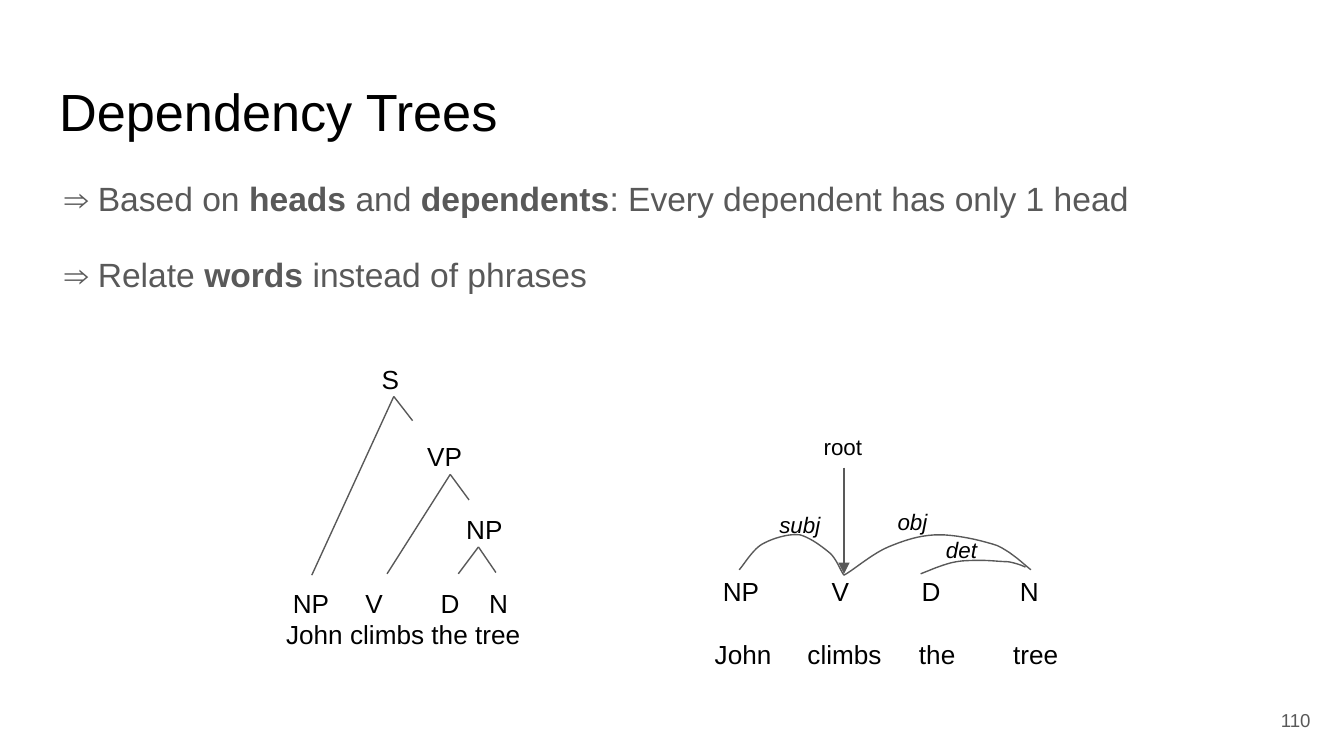
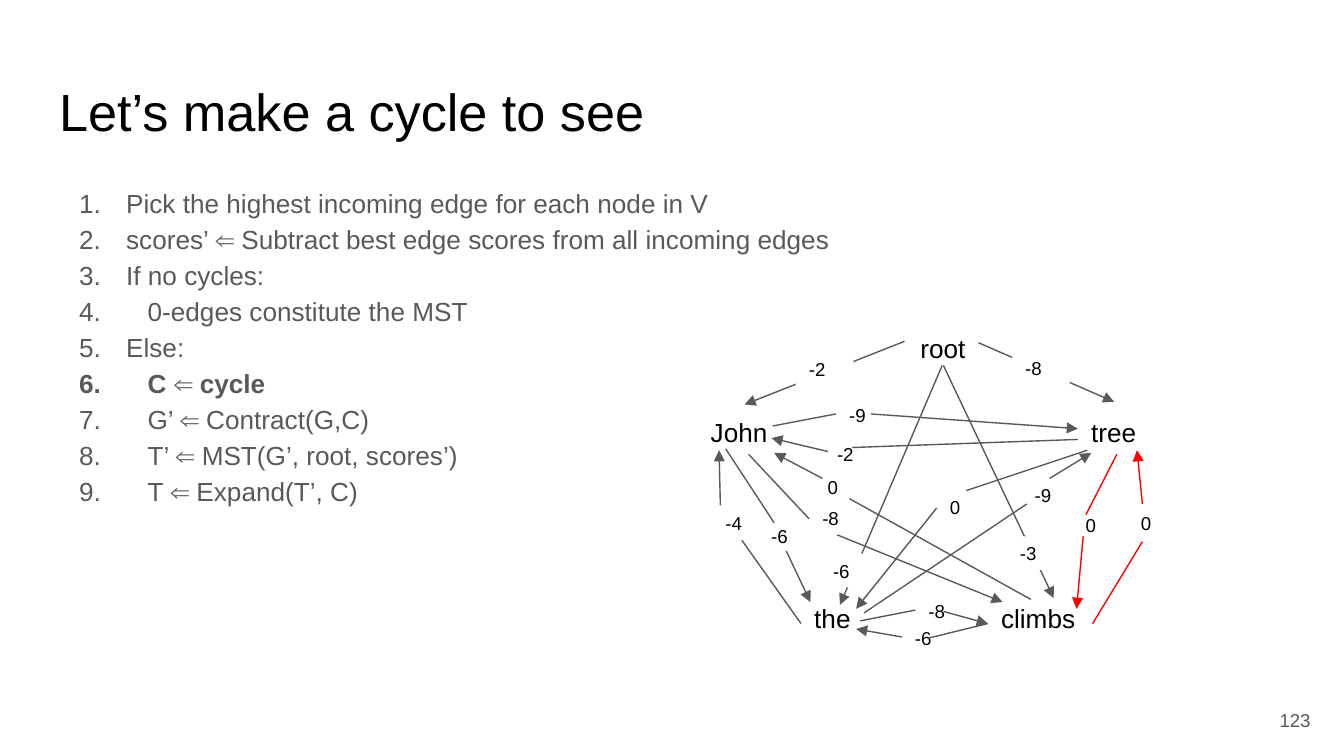
from dataclasses import dataclass

from lxml.etree import SubElement
from pptx import Presentation
from pptx.dml.color import RGBColor as RGB
from pptx.enum.shapes import MSO_CONNECTOR as Connector, MSO_SHAPE as Shape
from pptx.enum.text import MSO_ANCHOR as Anchor, MSO_AUTO_SIZE as AutoSize, PP_ALIGN as Align
from pptx.oxml.ns import qn
from pptx.util import Inches, Pt


@dataclass(frozen=True)
class Theme:
    font: str = "Arial"
    ink: RGB = RGB(0x00, 0x00, 0x00)
    grey: RGB = RGB(0x59, 0x59, 0x59)
    red: RGB = RGB(0xFF, 0x00, 0x00)
    white: RGB = RGB(0xFF, 0xFF, 0xFF)
    title: float = 28
    body: float = 18
    node: float = 14
    relation: float = 12
    small: float = 10
    line: float = 0.75
    inset: float = 0.1


THEME = Theme()
PAGE_WIDTH = Inches(10)
PAGE_HEIGHT = PAGE_WIDTH * 9 // 16
TITLE_AT = (0.34, 0.49, 9.32, 0.62)
NUMBER_AT = (9.25, 5.14, 0.6, 0.43)

# Dependency trees: each statement is a list of (text, bold)
STATEMENTS_AT = (0.38, 1.18, 9.32, 3.73)
STATEMENTS = [
    [("⇒ Based on ", False), ("heads", True), (" and ", False),
     ("dependents", True), (": Every dependent has only 1 head", False)],
    [("⇒ Relate ", False), ("words", True), (" instead of phrases", False)],
]

# Word rows: place, space before the second row, (words, distances from box edge)
WORD_ROWS = [
    ((1.87, 4.27, 2.22, 0.51), 0, [
        (["NP", "V", "D", "N"], [0.31, 0.85, 1.41, 1.77]),
        (["John climbs the tree"], [0.26]),
    ]),
    ((5.06, 4.18, 2.93, 0.51), 17, [
        (["NP", "V", "D", "N"], [0.32, 1.13, 1.8, 2.53]),
        (["John", "climbs", "the", "tree"], [0.26, 0.95, 1.78, 2.48]),
    ]),
]

# Phrase nodes: text, box corner, apex of the branches, ends of the branches
PHRASES = [
    ("NP", (3.37, 3.72), (3.56, 4.07), [(3.41, 4.27), (3.69, 4.26)]),
    ("VP", (3.08, 3.18), (3.35, 3.53), [(2.88, 4.27), (3.49, 3.72)]),
    ("S", (2.74, 2.6), (2.93, 2.95), [(2.32, 4.28), (3.07, 3.13)]),
]

# Relations: text, box corner, Bezier points of the arc
RELATIONS = [
    ("subj", (5.7, 3.7), [
        (5.5, 4.24), (5.53, 4.21), (5.6, 4.09), (5.67, 4.05),
        (5.74, 4.01), (5.86, 3.97), (5.95, 3.98), (6.03, 4), (6.12, 4.07),
        (6.18, 4.12), (6.23, 4.17), (6.26, 4.26), (6.28, 4.28)]),
    ("obj", (6.58, 3.68), [
        (7.67, 4.24), (7.63, 4.21), (7.53, 4.11), (7.42, 4.06),
        (7.3, 4.02), (7.12, 3.98), (6.99, 3.98), (6.85, 3.98), (6.73, 4.02),
        (6.61, 4.07), (6.49, 4.12), (6.34, 4.25), (6.28, 4.28)]),
    ("det", (6.94, 3.89), [
        (6.85, 4.27), (6.88, 4.26), (6.99, 4.21), (7.07, 4.19),
        (7.14, 4.17), (7.23, 4.17), (7.3, 4.17), (7.37, 4.17), (7.45, 4.18),
        (7.5, 4.18), (7.56, 4.19), (7.61, 4.21), (7.63, 4.22)]),
]
ROOT_LABEL = ("root", (6.03, 3.12))
ROOT_ARROW = ((6.28, 3.48), (6.28, 4.27))

# Cycle: steps are (text, nested, bold)
STEPS_AT = (0.34, 1.26, 9.32, 0.89)
STEPS = [
    ("Pick the highest incoming edge for each node in V", False, False),
    ("scores’ ⇐ Subtract best edge scores from all incoming edges", False, False),
    ("If no cycles:", False, False),
    ("0-edges constitute the MST", True, False),
    ("Else:", False, False),
    ("C ⇐ cycle", True, True),
    ("G’ ⇐ Contract(G,C)", True, False),
    ("T’ ⇐ MST(G’, root, scores’)", True, False),
    ("T ⇐ Expand(T’, C)", True, False),
]
GRAPH_NODES = [
    ("John", (5.19, 3, 0.77, 0.39)),
    ("climbs", (7.35, 4.38, 0.77, 0.51)),
    ("the", (5.96, 4.38, 0.77, 0.51)),
    ("tree", (8.02, 3, 0.57, 0.39)),
    ("root", (6.75, 2.37, 0.55, 0.35)),
]

# Root edges: score, score corner, start, end
ROOT_EDGES = [
    ("-2", (5.92, 2.62), (6.73, 2.54), (5.54, 3.01)),
    ("-3", (7.49, 3.99), (7.02, 2.72), (7.84, 4.45)),
    ("-8", (7.53, 2.61), (7.28, 2.55), (8.29, 2.99)),
    ("-6", (6.1, 4.12), (7.01, 2.72), (6.25, 4.5)),
]

# Word edges: score, score corner, line before the score, arrow after it
WORD_EDGES = [
    ("-4", (5.3, 3.77), ((5.96, 4.64), (5.52, 4.02)), ((5.36, 3.76), (5.35, 3.35))),
    ("-6", (5.64, 3.86), ((5.4, 3.34), (5.76, 3.89)), ((5.85, 4.1), (6.03, 4.48))),
    ("-9", (6.22, 2.96), ((5.75, 3.17), (6.22, 3.08)), ((6.48, 3.08), (8.02, 3.19))),
    ("-2", (6.13, 3.25), ((8.02, 3.27), (6.34, 3.33)), ((6.16, 3.36), (5.74, 3.26))),
    ("-6", (6.71, 4.62), ((7.35, 4.64), (6.9, 4.75)), ((6.71, 4.74), (6.37, 4.68))),
    ("-8", (6.81, 4.42), ((6.4, 4.62), (6.81, 4.54)), ((7.02, 4.55), (7.35, 4.64))),
    ("0", (6.06, 3.5), ((7.67, 4.46), (6.32, 3.71)), ((6.12, 3.56), (5.76, 3.37))),
    ("-8", (6.02, 3.73), ((5.57, 3.38), (6.02, 3.86)), ((6.23, 3.98), (7.46, 4.48))),
    ("0", (6.97, 3.65), ((8.09, 3.35), (7.19, 3.65)), ((6.97, 3.78), (6.37, 4.53))),
    ("-9", (7.6, 3.56), ((6.43, 4.56), (7.64, 3.75)), ((7.81, 3.56), (8.12, 3.37))),
]
CYCLE_EDGES = [
    ("0", (8.39, 3.77), ((8.13, 4.64), (8.5, 4.03)), ((8.5, 3.75), (8.46, 3.35))),
    ("0", (7.98, 3.78), ((8.31, 3.38), (8.08, 3.83)), ((8.06, 3.99), (8.01, 4.53))),
]


# Shared helpers
def inches(values):
    return [Inches(value) for value in values]


def assign(target, values):
    for name, value in values.items():
        setattr(target, name, value)


def add_span(para, text, size, color=THEME.ink, bold=False, italic=False):
    span = para.add_run()
    span.text = text
    assign(span.font, {"name": THEME.font, "size": Pt(size), "bold": bold, "italic": italic})
    span.font.color.rgb = color


def set_frame(shape, anchor=Anchor.TOP):
    frame = shape.text_frame
    sides = ("margin_left", "margin_top", "margin_right", "margin_bottom")
    assign(frame, dict.fromkeys(sides, Inches(THEME.inset)))
    assign(frame, {"word_wrap": True, "auto_size": AutoSize.NONE, "vertical_anchor": anchor})
    return frame


def add_box(page, at, anchor=Anchor.TOP):
    return set_frame(page.shapes.add_textbox(*inches(at)), anchor)


def add_paras(frame, count):
    return [frame.paragraphs[0]] + [frame.add_paragraph() for _ in range(count - 1)]


def add_label(page, text, at, size, italic=False):
    add_span(add_box(page, at).paragraphs[0], text, size, italic=italic)


def add_line(page, start, end, color=THEME.grey, arrow=False):
    line = page.shapes.add_connector(Connector.STRAIGHT, *inches(start + end))
    line.line.color.rgb = color
    line.line.width = Pt(THEME.line)
    properties = line._element.spPr
    if arrow:
        SubElement(properties.find(qn("a:ln")), qn("a:tailEnd"), type="triangle")
    SubElement(properties, qn("a:effectLst"))


def add_page(deck, title, number):
    page = deck.slides.add_slide(deck.slide_layouts[5])
    heading = page.shapes.title
    assign(heading, dict(zip(("left", "top", "width", "height"), inches(TITLE_AT))))
    para = set_frame(heading).paragraphs[0]
    para.alignment = Align.LEFT
    add_span(para, title, THEME.title)
    para = add_box(page, NUMBER_AT, Anchor.MIDDLE).paragraphs[0]
    para.alignment = Align.RIGHT
    add_span(para, number, THEME.small, THEME.grey)
    return page


# Tree slide parts
def add_word_rows(page, at, gap, rows):
    frame = add_box(page, at)
    for index, (para, (words, stops)) in enumerate(zip(add_paras(frame, len(rows)), rows)):
        para.space_before = Pt(gap if index else 0)
        tabs = SubElement(para._p.get_or_add_pPr(), qn("a:tabLst"))
        for stop in stops:
            SubElement(tabs, qn("a:tab"), pos=str(Inches(stop - THEME.inset)), algn="l")
        add_span(para, "".join("\t" + word for word in words), THEME.node)


def curve_points(controls, steps=10):
    points = [controls[0]]
    for first in range(0, len(controls) - 1, 3):
        for step in range(1, steps + 1):
            t = step / steps
            weights = ((1 - t) ** 3, 3 * t * (1 - t) ** 2, 3 * t * t * (1 - t), t ** 3)
            points.append(tuple(
                sum(weight * point[axis] for weight, point in zip(weights, controls[first:first + 4]))
                for axis in (0, 1)))
    return points


def add_arc(page, controls):
    start, *rest = [inches(point) for point in curve_points(controls)]
    builder = page.shapes.build_freeform(*start)
    builder.add_line_segments(rest, close=False)
    arc = builder.convert_to_shape()
    arc.shadow.inherit = False
    arc.fill.background()
    arc.line.color.rgb = THEME.grey
    arc.line.width = Pt(THEME.line)


def build_trees(deck):
    page = add_page(deck, "Dependency Trees", "110")
    paras = add_paras(add_box(page, STATEMENTS_AT), len(STATEMENTS))
    for index, (para, statement) in enumerate(zip(paras, STATEMENTS)):
        assign(para, {"line_spacing": 1.15, "space_before": Pt(16 if index else 0)})
        for text, bold in statement:
            add_span(para, text, THEME.body, THEME.grey, bold)
    for row in WORD_ROWS:
        add_word_rows(page, *row)
    for text, corner, apex, ends in PHRASES:
        for end in ends:
            add_line(page, end, apex)
        add_label(page, text, corner + (0.48, 0.29), THEME.node)
    for text, corner, controls in RELATIONS:
        add_arc(page, controls)
        add_label(page, text, corner + (0.67, 0.43), THEME.relation, italic=True)
    add_line(page, *ROOT_ARROW, arrow=True)
    text, corner = ROOT_LABEL
    add_label(page, text, corner + (0.67, 0.43), THEME.relation)


# Cycle slide parts
def add_steps(page):
    for para, (text, nested, bold) in zip(add_paras(add_box(page, STEPS_AT), len(STEPS)), STEPS):
        para.line_spacing = 1.15
        extra = 0.16 if nested else 0
        properties = para._p.get_or_add_pPr()
        properties.set("marL", str(Inches(0.5 + extra)))
        properties.set("indent", str(Inches(-0.35 - extra)))
        color = SubElement(properties, qn("a:buClr"))
        SubElement(color, qn("a:srgbClr"), val=str(THEME.grey))
        SubElement(properties, qn("a:buFont"), typeface=THEME.font)
        SubElement(properties, qn("a:buAutoNum"), type="arabicPeriod")
        add_span(para, text, THEME.node, THEME.grey, bold)


def add_score(page, text, corner):
    score = page.shapes.add_shape(Shape.RECTANGLE, *inches(corner + (0.43, 0.25)))
    score.shadow.inherit = False
    score.fill.solid()
    score.fill.fore_color.rgb = THEME.white
    score.line.fill.background()
    para = set_frame(score, Anchor.MIDDLE).paragraphs[0]
    para.alignment = Align.LEFT
    add_span(para, text, THEME.small)


def build_cycle(deck):
    page = add_page(deck, "Let’s make a cycle to see", "123")
    add_steps(page)
    for text, at in GRAPH_NODES:
        add_label(page, text, at, THEME.node)
    # Scores cover the root edges and lie below the word edges
    for _, _, start, end in ROOT_EDGES:
        add_line(page, start, end, arrow=True)
    for text, corner, *_ in WORD_EDGES + CYCLE_EDGES + ROOT_EDGES:
        add_score(page, text, corner)
    for edges, color in ((WORD_EDGES, THEME.grey), (CYCLE_EDGES, THEME.red)):
        for _, _, before, after in edges:
            add_line(page, *before, color)
            add_line(page, *after, color, arrow=True)


def main():
    deck = Presentation()
    assign(deck, {"slide_width": PAGE_WIDTH, "slide_height": PAGE_HEIGHT})
    build_trees(deck)
    build_cycle(deck)
    deck.save("out.pptx")


if __name__ == "__main__":
    main()
